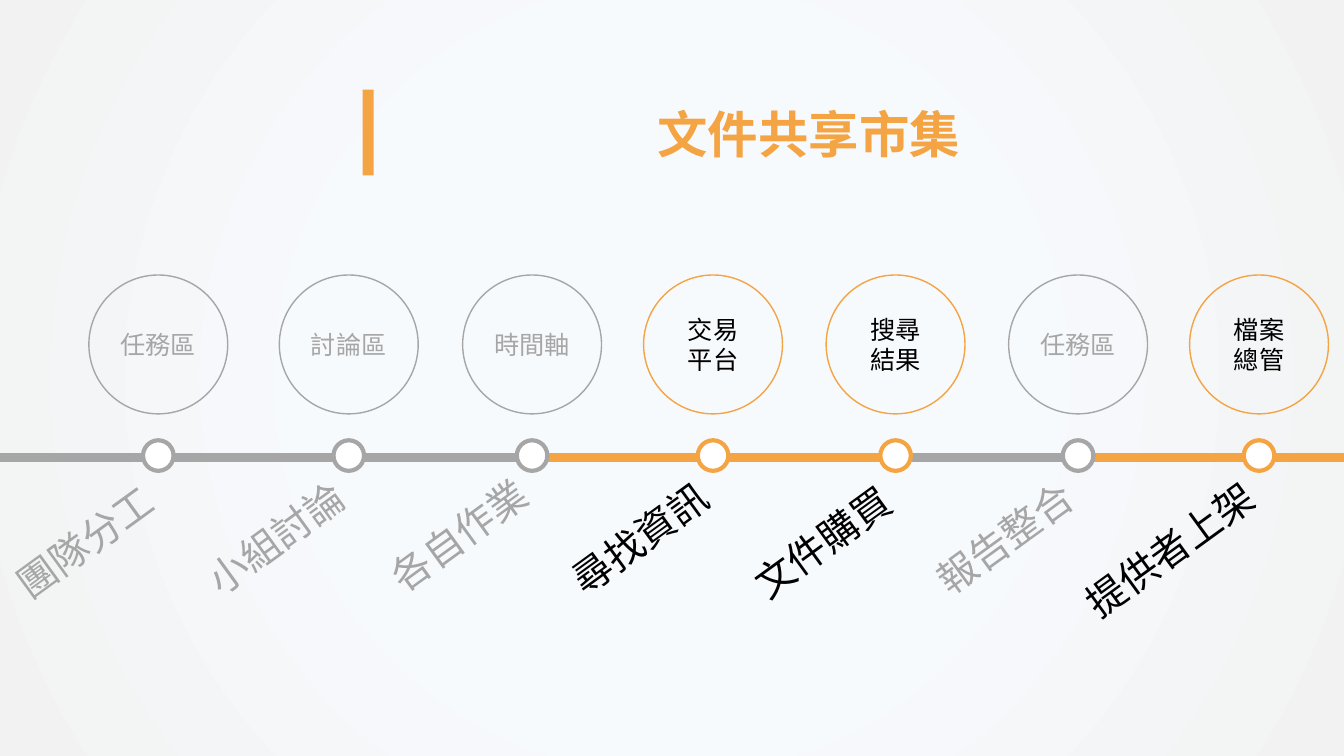
import math
from dataclasses import dataclass
from itertools import groupby

import pptx
import pptx.dml.color
import pptx.enum.shapes
import pptx.enum.text
import pptx.util
from lxml import etree

Cm, Pt = pptx.util.Cm, pptx.util.Pt
RGB = pptx.dml.color.RGBColor
SHAPE = pptx.enum.shapes.MSO_SHAPE
ALIGN = pptx.enum.text.PP_ALIGN
ANCHOR = pptx.enum.text.MSO_ANCHOR
FIT = pptx.enum.text.MSO_AUTO_SIZE
DML = "http://schemas.openxmlformats.org/drawingml/2006/main"


@dataclass(frozen=True)
class Theme:
    hot: RGB = RGB(0xF4, 0xA4, 0x42)
    dim: RGB = RGB(0xA6, 0xA6, 0xA6)
    ink: RGB = RGB(0, 0, 0)
    white: RGB = RGB(255, 255, 255)
    glow: RGB = RGB(0xF7, 0xFA, 0xFD)
    edge: RGB = RGB(0xF2, 0xF2, 0xF2)
    font: str = "Arial"
    title: int = 36
    label: int = 28
    ring: int = 18


@dataclass(frozen=True)
class Step:
    x: float       # centre on the line
    drop: float    # from the line box top to the label's upper end
    hot: bool
    area: str
    label: str


THEME = Theme()
WIDE, HIGH = 33.87, 19.05
STEPS = [
    Step(3.99, 5.4, False, "任務區", "團隊分工"),
    Step(8.79, 5.3, False, "討論區", "小組討論"),
    Step(13.41, 5.22, False, "時間軸", "各自作業"),
    Step(17.97, 5.3, True, "交易\n平台", "尋找資訊"),
    Step(22.57, 5.38, True, "搜尋\n結果", "文件購買"),
    Step(27.17, 5.3, False, "任務區", "報告整合"),
    Step(31.73, 5.28, True, "檔案\n總管", "提供者上架"),
]


def tint(step):
    return THEME.hot if step.hot else THEME.dim


def write(frame, text, size, color, align=ALIGN.LEFT, bold=False):
    frame.text = text
    for par in frame.paragraphs:
        par.alignment = align
        par.font.name = THEME.font
        par.font.size = Pt(size)
        par.font.bold = bold
        par.font.color.rgb = color


def inset(frame, left=0, right=0):
    frame.margin_left, frame.margin_right = Cm(left), Cm(right)
    frame.margin_top = frame.margin_bottom = 0


def disc(slide, x, y, size, color, width):
    """Draw an outlined circle centred on x, y."""
    shape = slide.shapes.add_shape(
        SHAPE.OVAL, Cm(x - size / 2), Cm(y - size / 2), Cm(size), Cm(size))
    shape.shadow.inherit = False
    shape.fill.background()
    shape.line.color.rgb = color
    shape.line.width = Pt(width)
    return shape


def paint(slide):
    """Fill the background with a round glow."""
    fill = slide.background.fill
    fill.gradient()
    for stop, place, color in zip(
            fill.gradient_stops, (0.42, 1), (THEME.glow, THEME.edge)):
        stop.color.rgb = color
        stop.position = place
    lin = next(slide.element.iter(f"{{{DML}}}lin"))
    grad = lin.getparent()
    grad.remove(lin)
    way = etree.SubElement(grad, f"{{{DML}}}path", path="circle")
    etree.SubElement(way, f"{{{DML}}}fillToRect",
                     l="50000", t="50000", r="50000", b="50000")


def head(slide, left, top, width, height):
    """Place the title and the bar on its left."""
    title = slide.shapes.title
    title.left, title.top = Cm(left + 0.25), Cm(top + 0.2)
    title.width, title.height = Cm(width), Cm(height - 0.36)
    frame = title.text_frame
    frame.word_wrap = True
    frame.auto_size = FIT.NONE
    frame.vertical_anchor = ANCHOR.MIDDLE
    inset(frame, left=7.18)
    write(frame, "文件共享市集", THEME.title, THEME.hot, bold=True)

    bar = slide.shapes.add_shape(
        SHAPE.RECTANGLE, Cm(left), Cm(top), Cm(0.28), Cm(height))
    bar.shadow.inherit = False
    bar.fill.solid()
    bar.fill.fore_color.rgb = THEME.hot
    bar.line.fill.background()


def track(slide, left, y, width):
    """Draw one line for each run of steps in the same colour."""
    start = left
    for color, run in groupby(STEPS, key=tint):
        last = list(run)[-1]
        end = left + (width if last is STEPS[-1] else last.x)
        line = slide.shapes.add_connector(
            pptx.enum.shapes.MSO_CONNECTOR.STRAIGHT,
            Cm(start), Cm(y), Cm(end), Cm(y))
        line.line.color.rgb = color
        line.line.width = Pt(6)
        etree.SubElement(line.element.spPr, f"{{{DML}}}effectLst")
        start = end


def mark(slide, left, top, step):
    """Place a step's ring, node and slanted label."""
    x = left + step.x
    color = THEME.ink if step.hot else THEME.dim

    ring = disc(slide, x, top + 1.75, 3.5, tint(step), 1)
    frame = ring.text_frame
    frame.word_wrap = True
    frame.vertical_anchor = ANCHOR.MIDDLE
    inset(frame)
    write(frame, step.area, THEME.ring, color, ALIGN.CENTER)

    node = disc(slide, x, top + 4.55, 0.77, tint(step), 3)
    node.fill.solid()
    node.fill.fore_color.rgb = THEME.white

    # The label's right end meets the step
    slant = 36
    wide, high = len(step.label) + 0.5, 1.45
    mid = x - math.cos(math.radians(slant)) * wide / 2
    low = top + step.drop + math.sin(math.radians(slant)) * wide / 2
    label = slide.shapes.add_textbox(
        Cm(mid - wide / 2), Cm(low - high / 2), Cm(wide), Cm(high))
    label.rotation = 360 - slant
    label.text_frame.word_wrap = False
    label.text_frame.auto_size = FIT.SHAPE_TO_FIT_TEXT
    write(label.text_frame, step.label, THEME.label, color)


def flow(slide, left, top, width):
    """Draw the whole timeline."""
    track(slide, left, top + 4.6, width)
    for step in STEPS:
        mark(slide, left, top, step)


def main():
    deck = pptx.Presentation()
    deck.slide_width, deck.slide_height = Cm(WIDE), Cm(HIGH)
    slide = deck.slides.add_slide(deck.slide_layouts[5])
    paint(slide)
    head(slide, 9.14, 2.26, 15.34, 2.16)
    flow(slide, 0, 6.93, WIDE)
    deck.save("out.pptx")


if __name__ == "__main__":
    main()
